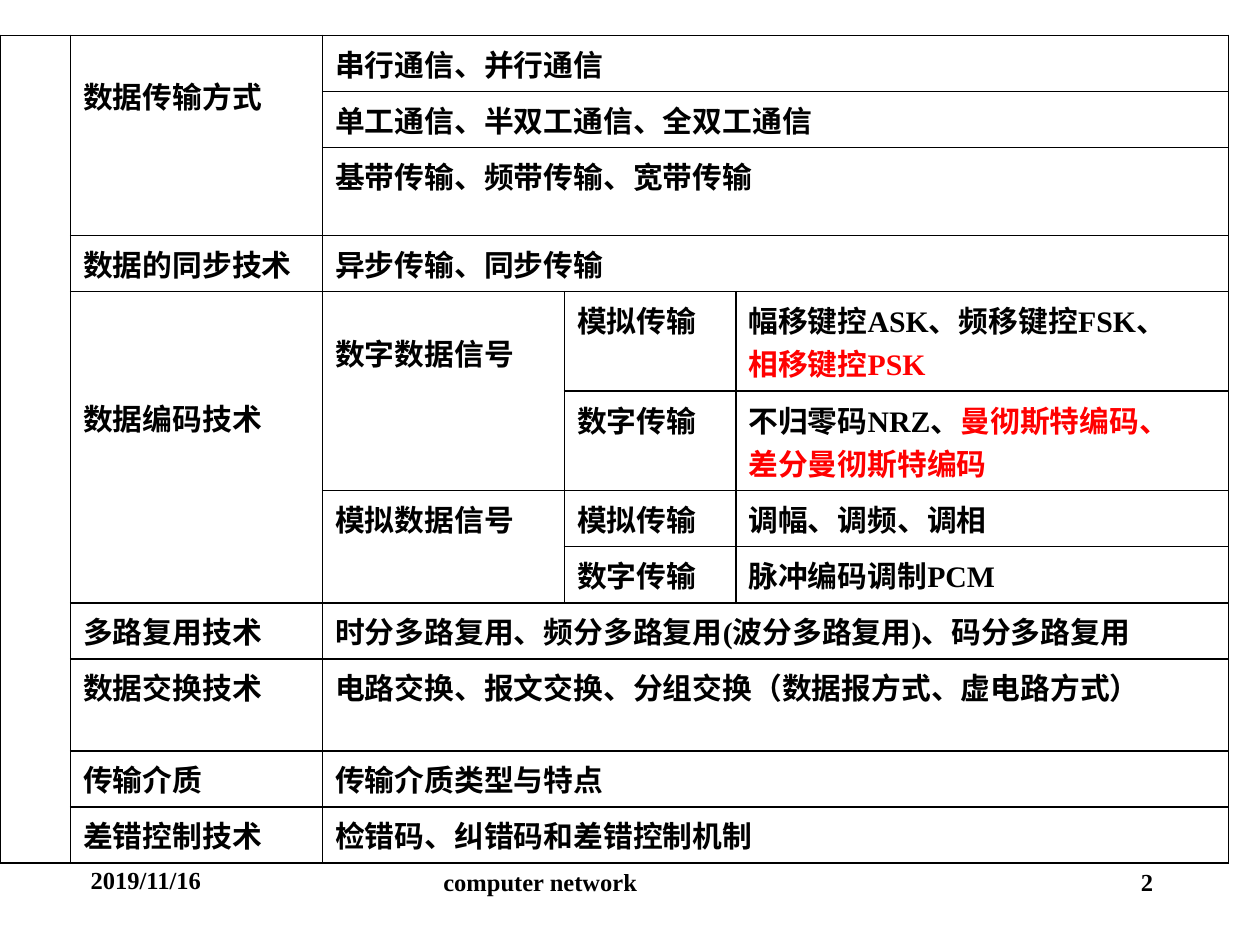
from lxml import etree
from pptx import Presentation
from pptx.dml.color import RGBColor
from pptx.enum import text as t
from pptx.oxml import ns
from pptx.util import Inches, Pt

BLACK = RGBColor(0, 0, 0)
RED = RGBColor(255, 0, 0)
FONT = "Times New Roman"
LINE = 0.26
EDGE = 0.05

COLS = [0.56, 2, 1.92, 1.36, 3.91]
ROW = 0.445
TALL = {2: 0.7, 4: 0.79, 5: 0.79, 9: 0.73}
ROWS = [TALL.get(i, ROW) for i in range(12)]

# row, column, rows spanned, columns spanned, lines of drop, text (red after *)
CELLS = [
    (0, 0, 12, 1, 0, ""),
    (0, 1, 3, 1, 1, "数据传输方式"),
    (0, 2, 1, 3, 0, "串行通信、并行通信"),
    (1, 2, 1, 3, 0, "单工通信、半双工通信、全双工通信"),
    (2, 2, 1, 3, 0, "基带传输、频带传输、宽带传输"),
    (3, 1, 1, 1, 0, "数据的同步技术"),
    (3, 2, 1, 3, 0, "异步传输、同步传输"),
    (4, 1, 4, 1, 3, "数据编码技术"),
    (4, 2, 2, 1, 1, "数字数据信号"),
    (4, 3, 1, 1, 0, "模拟传输"),
    (4, 4, 1, 1, 0, "幅移键控ASK、频移键控FSK、\n*相移键控PSK"),
    (5, 3, 1, 1, 0, "数字传输"),
    (5, 4, 1, 1, 0, "不归零码NRZ、*曼彻斯特编码、\n*差分曼彻斯特编码"),
    (6, 2, 2, 1, 0, "模拟数据信号"),
    (6, 3, 1, 1, 0, "模拟传输"),
    (6, 4, 1, 1, 0, "调幅、调频、调相"),
    (7, 3, 1, 1, 0, "数字传输"),
    (7, 4, 1, 1, 0, "脉冲编码调制PCM"),
    (8, 1, 1, 1, 0, "多路复用技术"),
    (8, 2, 1, 3, 0, "时分多路复用、频分多路复用(波分多路复用)、码分多路复用"),
    (9, 1, 1, 1, 0, "数据交换技术"),
    (9, 2, 1, 3, 0, "电路交换、报文交换、分组交换（数据报方式、虚电路方式）"),
    (10, 1, 1, 1, 0, "传输介质"),
    (10, 2, 1, 3, 0, "传输介质类型与特点"),
    (11, 1, 1, 1, 0, "差错控制技术"),
    (11, 2, 1, 3, 0, "检错码、纠错码和差错控制机制"),
]

FOOT = [
    (0.62, 6.82, 2.08, "2019/11/16", t.PP_ALIGN.LEFT),
    (3.42, 6.83, 3.17, "computer network", t.PP_ALIGN.LEFT),
    (7.17, 6.83, 2.08, "2", t.PP_ALIGN.RIGHT),
]


def style(font, size, color):
    font.name = FONT
    font.size = Pt(size)
    font.bold = True
    font.color.rgb = color


def border(cell):
    props = cell._tc.get_or_add_tcPr()
    for i, tag in enumerate(("a:lnL", "a:lnR", "a:lnT", "a:lnB")):
        line = etree.Element(ns.qn(tag), w=str(Pt(1)))
        fill = etree.SubElement(line, ns.qn("a:solidFill"))
        etree.SubElement(fill, ns.qn("a:srgbClr"), val=str(BLACK))
        props.insert(i, line)


def write(cell, words):
    frame = cell.text_frame
    for i, row in enumerate(words.split("\n")):
        para = frame.add_paragraph() if i else frame.paragraphs[0]
        for part, color in zip(row.split("*"), (BLACK, RED)):
            if part:
                run = para.add_run()
                run.text = part
                style(run.font, 17, color)


def grid(slide):
    frame = slide.shapes.add_table(
        len(ROWS), len(COLS), Inches(0), Inches(0.28),
        Inches(sum(COLS)), Inches(sum(ROWS)))
    table = frame.table
    table.first_row = table.horz_banding = False
    for col, wide in zip(table.columns, COLS):
        col.width = Inches(wide)
    for row, high in zip(table.rows, ROWS):
        row.height = Inches(high)
    for cell in table.iter_cells():
        cell.fill.background()
        border(cell)
    for r, c, down, over, drop, words in CELLS:
        cell = table.cell(r, c)
        if down * over > 1:
            cell.merge(table.cell(r + down - 1, c + over - 1))
        cell.margin_top = Inches(EDGE + drop * LINE)
        write(cell, words)


def foot(slide):
    for x, y, wide, words, align in FOOT:
        box = slide.shapes.add_textbox(
            Inches(x), Inches(y), Inches(wide), Inches(0.5))
        box.text_frame.word_wrap = True
        box.text_frame.text = words
        para = box.text_frame.paragraphs[0]
        para.alignment = align
        style(para.runs[0].font, 14, BLACK)


def main():
    deck = Presentation()
    deck.slide_width = Inches(10)
    deck.slide_height = Inches(7.5)
    slide = deck.slides.add_slide(deck.slide_layouts[6])
    foot(slide)
    grid(slide)
    deck.save("out.pptx")


if __name__ == "__main__":
    main()
